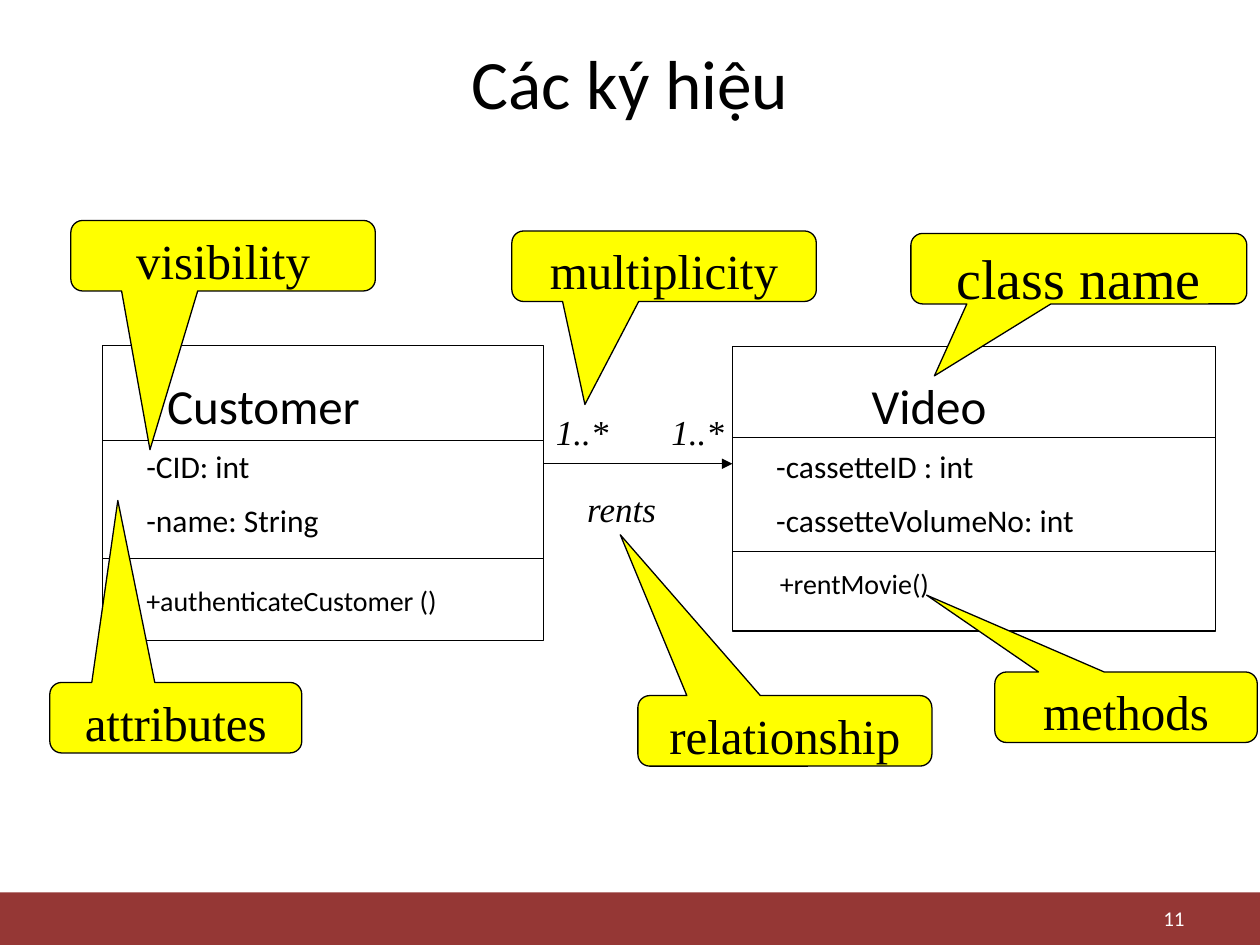
from lxml import etree
from pptx import Presentation
from pptx.dml.color import RGBColor
from pptx.enum.shapes import MSO_CONNECTOR, MSO_SHAPE
from pptx.enum.text import MSO_ANCHOR, PP_ALIGN
from pptx.oxml.ns import qn
from pptx.util import Pt

BLACK = RGBColor(0x00, 0x00, 0x00)
WHITE = RGBColor(0xFF, 0xFF, 0xFF)
YELLOW = RGBColor(0xFF, 0xFF, 0x00)
DARK_RED = RGBColor(0x95, 0x37, 0x35)
SANS, SERIF = "Calibri", "Times New Roman"
STRAIGHT = MSO_CONNECTOR.STRAIGHT
RECTANGLE, CALLOUT = MSO_SHAPE.RECTANGLE, MSO_SHAPE.ROUNDED_RECTANGULAR_CALLOUT
TOP, MIDDLE = MSO_ANCHOR.TOP, MSO_ANCHOR.MIDDLE
LEFT, CENTER, RIGHT = PP_ALIGN.LEFT, PP_ALIGN.CENTER, PP_ALIGN.RIGHT
LINE_WIDTH = Pt(0.75)
CALLOUT_HEIGHT = 40.3

prs = Presentation()
prs.slide_width, prs.slide_height = Pt(720), Pt(540)
slide = prs.slides.add_slide(prs.slide_layouts[6])
shapes = slide.shapes


def write(holder, lines, size, font=SANS, color=BLACK, align=LEFT, anchor=TOP, italic=False):
    """Fill a shape's text frame, with half a line of space between paragraphs."""
    frame = holder.text_frame
    frame.word_wrap = True
    frame.vertical_anchor = anchor
    for index, line in enumerate(lines):
        paragraph = frame.add_paragraph() if index else frame.paragraphs[0]
        paragraph.alignment = align
        if index:
            paragraph.space_before = Pt(size / 2)
        run = paragraph.add_run()
        run.text = line
        run.font.name, run.font.size = font, Pt(size)
        run.font.italic = italic
        run.font.color.rgb = color


def add_line(x1, y1, x2, y2):
    line = shapes.add_connector(STRAIGHT, Pt(x1), Pt(y1), Pt(x2), Pt(y2))
    line.line.color.rgb = BLACK
    line.line.width = LINE_WIDTH
    etree.SubElement(line._element.spPr, qn("a:effectLst"))
    return line


# Footer band, title and slide number
footer = shapes.add_shape(RECTANGLE, 0, Pt(510), Pt(720), Pt(30))
footer.shadow.inherit = False
footer.fill.solid()
footer.fill.fore_color.rgb = DARK_RED
footer.line.fill.background()

title = shapes.add_textbox(Pt(36), Pt(21.6), Pt(648), Pt(50.4))
write(title, ["Các ký hiệu"], 39.6, align=CENTER, anchor=MIDDLE)
slide_number = shapes.add_textbox(Pt(516), Pt(515), Pt(168), Pt(19.4))
write(slide_number, ["11"], 12, color=WHITE, align=RIGHT, anchor=MIDDLE)

# Class boxes: left, top, width, height, heights of the two dividers
for left, top, width, height, dividers in [
    (418.5, 198, 276, 162.7, (250, 315.2)),
    (58.5, 197.4, 252, 168.7, (251.6, 319.1)),
]:
    class_box = shapes.add_shape(RECTANGLE, Pt(left), Pt(top), Pt(width), Pt(height))
    class_box.shadow.inherit = False
    class_box.fill.background()
    class_box.line.color.rgb = BLACK
    class_box.line.width = LINE_WIDTH
    for y in dividers:
        add_line(left, y, left + width, y)

association = add_line(310.5, 265, 418.5, 265)
etree.SubElement(association.line._get_or_add_ln(), qn("a:tailEnd"), type="triangle")

# Callouts: label, left, top, width, text size, pointer x and y
for label, left, top, width, size, pointer_x, pointer_y in [
    ("methods", 568.5, 384, 150, 28, -0.76, -1.59),
    ("class name", 520.5, 133.4, 192, 32, -0.43, 1.52),
    ("relationship", 364.5, 397.5, 168, 28, -0.56, -2.78),
    ("multiplicity", 292.5, 132, 174, 28, -0.26, 1.96),
    ("visibility", 40.5, 126, 174, 28, -0.24, 2.75),
    ("attributes", 28.5, 390, 144, 28, -0.23, -3.08),
]:
    callout = shapes.add_shape(CALLOUT, Pt(left), Pt(top), Pt(width), Pt(CALLOUT_HEIGHT))
    callout.shadow.inherit = False
    callout.adjustments[0] = pointer_x
    callout.adjustments[1] = pointer_y
    callout.fill.solid()
    callout.fill.fore_color.rgb = YELLOW
    callout.line.color.rgb = BLACK
    callout.line.width = LINE_WIDTH
    write(callout, [label], size, SERIF, align=CENTER)

# Class members: left, top, width, height, text size, lines
for left, top, width, height, size, lines in [
    (491, 211, 124.5, 41, 28, ["Video"]),
    (436.5, 252, 246, 61.2, 18, ["-cassetteID : int", "-cassetteVolumeNo: int"]),
    (438.5, 320.4, 132, 26.6, 16, ["+rentMovie()"]),
    (88.5, 211, 186, 41, 28, ["Customer"]),
    (76.5, 252, 228, 93.6, 18, ["-CID: int", "-name: String"]),
    (76.5, 330, 204, 26.6, 16, ["+authenticateCustomer ()"]),
]:
    members = shapes.add_textbox(Pt(left), Pt(top), Pt(width), Pt(height))
    write(members, lines, size)

# Association labels
for text, left, top, width in [
    ("rents", 328.5, 275, 72),
    ("1..*", 376.5, 231, 48),
    ("1..*", 310.5, 231, 48),
]:
    association_label = shapes.add_textbox(Pt(left), Pt(top), Pt(width), Pt(30))
    write(association_label, [text], 20, SERIF, italic=True)

prs.save("out.pptx")
